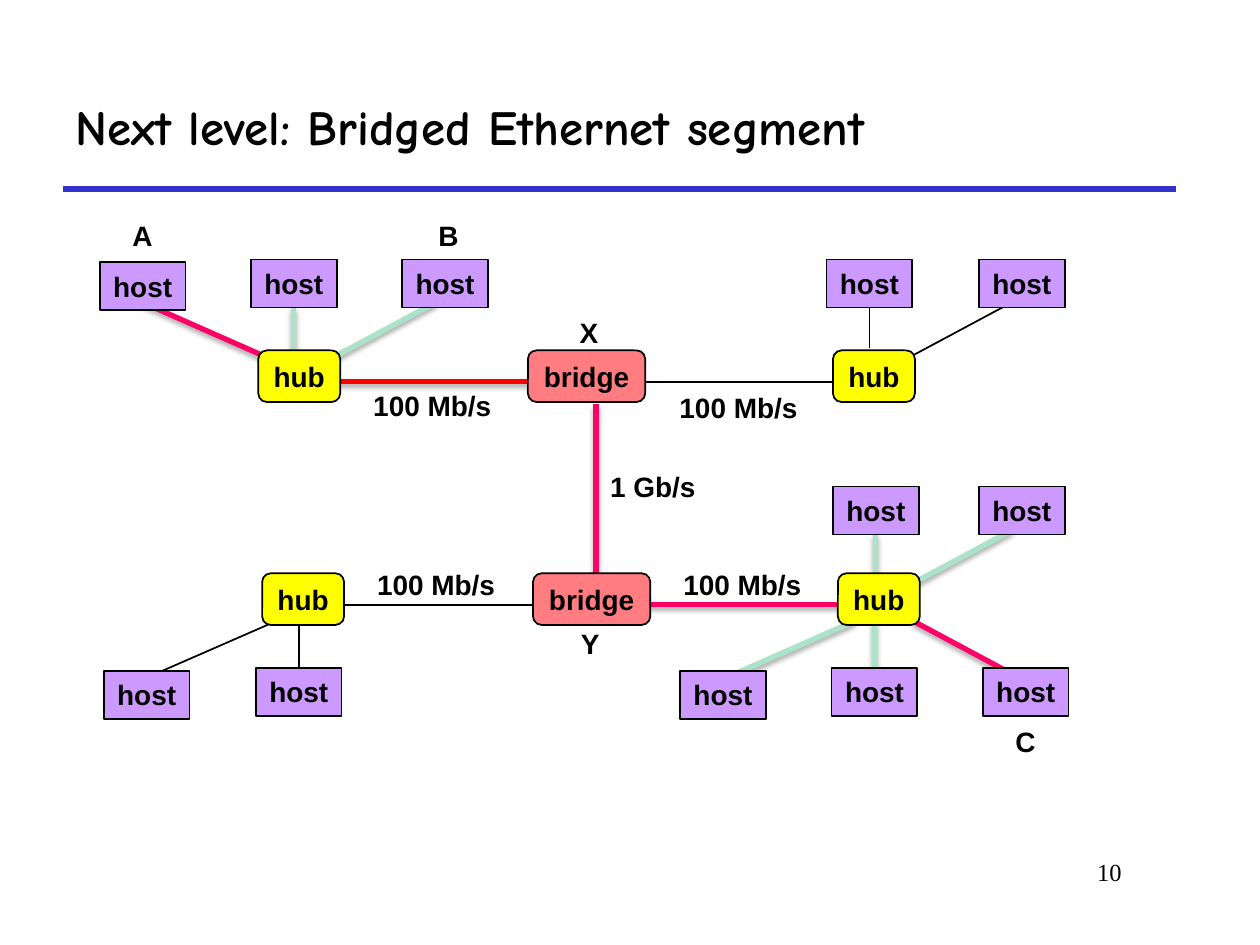
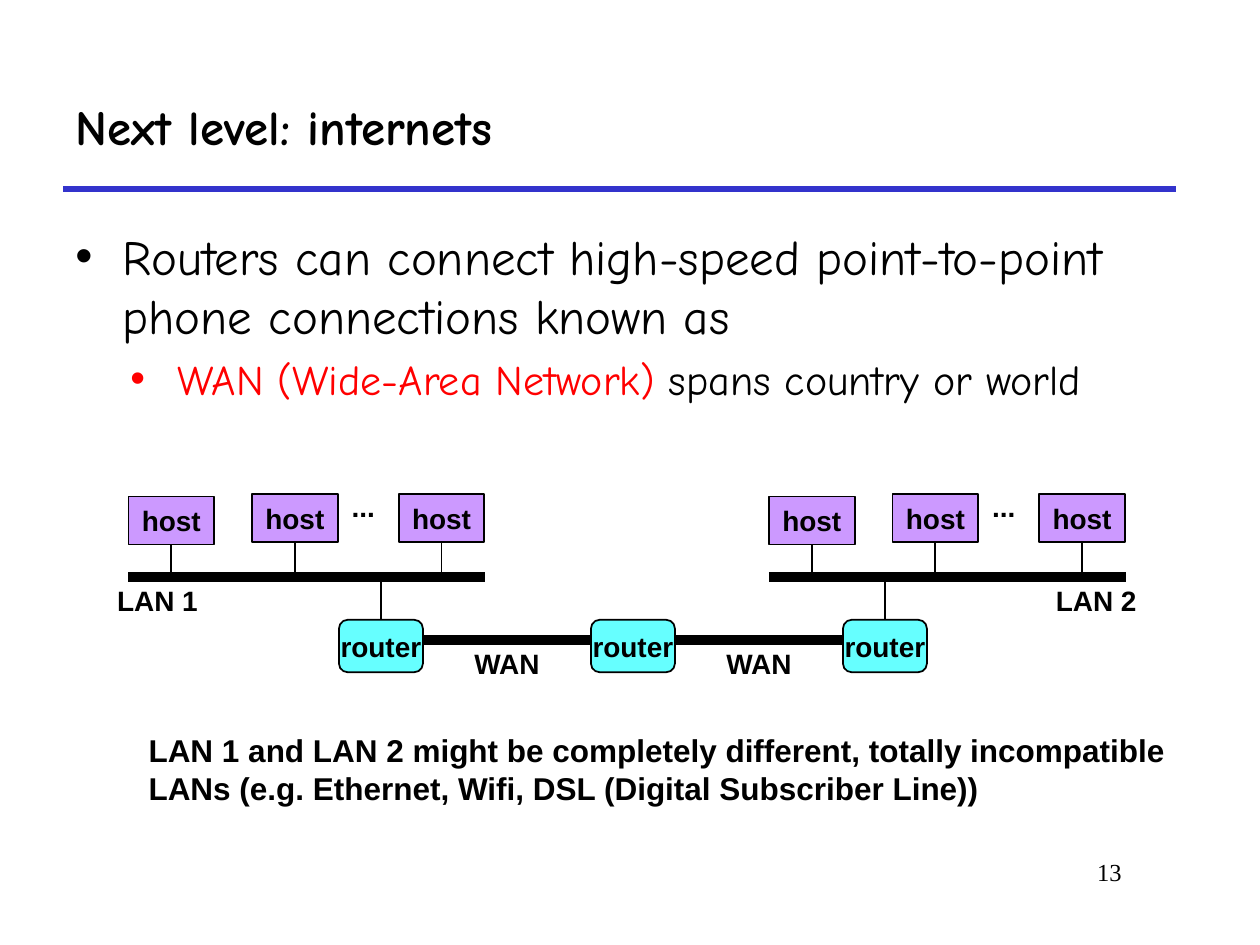
"""Build two slides on bridged Ethernet segments and internets."""

from dataclasses import dataclass
from typing import Union

import lxml.etree
import pptx
import pptx.dml.color
import pptx.enum.shapes
import pptx.enum.text
import pptx.oxml.ns
import pptx.presentation
import pptx.shapes.autoshape
import pptx.shapes.connector
import pptx.slide
import pptx.text.text
import pptx.util

Pt = pptx.util.Pt
RGBColor = pptx.dml.color.RGBColor
SHAPE = pptx.enum.shapes.MSO_SHAPE
ALIGN = pptx.enum.text.PP_ALIGN
MIDDLE = pptx.enum.text.MSO_ANCHOR.MIDDLE
qn = pptx.oxml.ns.qn

BLACK = RGBColor(0x00, 0x00, 0x00)
BLUE = RGBColor(0x33, 0x33, 0xCC)
RED = RGBColor(0xFF, 0x00, 0x00)
PINK = RGBColor(0xFF, 0x00, 0x66)
MINT = RGBColor(0xAA, 0xE2, 0xCA)
PURPLE = RGBColor(0xCC, 0x99, 0xFF)
YELLOW = RGBColor(0xFF, 0xFF, 0x00)
CORAL = RGBColor(0xFF, 0x7C, 0x80)
AQUA = RGBColor(0x66, 0xFF, 0xFF)

SANS, COMIC, SERIF = "Arial", "Comic Neue", "Times New Roman"
TOP, BOTTOM = 0, 2


@dataclass(frozen=True)
class Kind:
    """Look of one sort of network node."""

    text: str
    width: float
    height: float
    fill: RGBColor
    form: int = SHAPE.ROUNDED_RECTANGLE


@dataclass(frozen=True)
class Node:
    """A network node and its place."""

    key: str
    kind: Kind
    left: float
    top: float


@dataclass(frozen=True)
class Join:
    """A side of a node where a link ends."""

    key: str
    side: int


Spot = tuple[float, float]
End = Union[Spot, Join]


@dataclass(frozen=True)
class Link:
    """A line between two ends; a shaded one casts a shadow."""

    start: End
    end: End
    color: RGBColor = BLACK
    width: float = 1
    shade: bool = False


@dataclass(frozen=True)
class Label:
    """A short text centred on a given x."""

    text: str
    center: float
    top: float


HOST = Kind("host", 49, 27.4, PURPLE, SHAPE.RECTANGLE)
HUB = Kind("hub", 46.8, 29.5, YELLOW)
BRIDGE = Kind("bridge", 67, 29.5, CORAL)
ROUTER = Kind("router", 48, 30, AQUA)


def style(para: pptx.text.text._Paragraph, size: float, face: str = SANS,
          bold: bool = True, color: RGBColor = BLACK) -> None:
    """Format every run of a paragraph."""
    for run in para.runs:
        run.font.size, run.font.name, run.font.bold = Pt(size), face, bold
        run.font.color.rgb = color


def add_text(slide: pptx.slide.Slide, text: str, left: float, top: float,
             width: float, height: float, wrap: bool = True) -> pptx.text.text.TextFrame:
    """Add a text box and return its frame."""
    box = slide.shapes.add_textbox(Pt(left), Pt(top), Pt(width), Pt(height))
    box.text_frame.word_wrap = wrap
    box.text_frame.text = text
    return box.text_frame


def add_link(slide: pptx.slide.Slide, link: Link) -> pptx.shapes.connector.Connector:
    """Draw a link; ends that are joins are placed later."""
    spots = [(0, 0) if isinstance(end, Join) else end for end in (link.start, link.end)]
    line = slide.shapes.add_connector(
        pptx.enum.shapes.MSO_CONNECTOR.STRAIGHT,
        *(Pt(value) for spot in spots for value in spot))
    line.line.color.rgb, line.line.width = link.color, Pt(link.width)
    sub = lxml.etree.SubElement
    effect = sub(line._element.spPr, qn("a:effectLst"))
    if link.shade:
        shadow = sub(effect, qn("a:outerShdw"), blurRad=str(Pt(3.1)),
                     dist=str(Pt(1.8)), dir="5400000", rotWithShape="0")
        black = sub(shadow, qn("a:srgbClr"), val="000000")
        sub(black, qn("a:alpha"), val="35000")
    return line


def add_node(slide: pptx.slide.Slide, node: Node) -> pptx.shapes.autoshape.Shape:
    """Draw a node with its name in the middle."""
    kind = node.kind
    shape = slide.shapes.add_shape(kind.form, Pt(node.left), Pt(node.top),
                                   Pt(kind.width), Pt(kind.height))
    shape.shadow.inherit = False
    shape.fill.solid()
    shape.fill.fore_color.rgb = kind.fill
    shape.line.color.rgb, shape.line.width = BLACK, Pt(1)
    frame = shape.text_frame
    frame.word_wrap, frame.vertical_anchor = False, MIDDLE
    frame.text = kind.text
    frame.paragraphs[0].alignment = ALIGN.CENTER
    style(frame.paragraphs[0], 16)
    return shape


def add_label(slide: pptx.slide.Slide, label: Label) -> None:
    """Add a centred label with room for its text."""
    width = 36 + 8 * len(label.text)
    frame = add_text(slide, label.text, label.center - width / 2, label.top,
                     width, 26.6, wrap=False)
    frame.vertical_anchor = MIDDLE
    frame.paragraphs[0].alignment = ALIGN.CENTER
    style(frame.paragraphs[0], 16)


def add_net(slide: pptx.slide.Slide, nodes: list[Node], links: list[Link],
            labels: list[Label]) -> None:
    """Draw a network: links at the back, then nodes and labels."""
    lines = [add_link(slide, link) for link in links]
    shapes = {node.key: add_node(slide, node) for node in nodes}
    for line, link in zip(lines, links):
        if isinstance(link.start, Join):
            line.begin_connect(shapes[link.start.key], link.start.side)
        if isinstance(link.end, Join):
            line.end_connect(shapes[link.end.key], link.end.side)
    for label in labels:
        add_label(slide, label)


def add_slide(deck: pptx.presentation.Presentation, title: str,
              number: str) -> pptx.slide.Slide:
    """Add a slide with title, rule and page number."""
    slide = deck.slides.add_slide(deck.slide_layouts.get_by_name("Title Only"))
    head = slide.shapes.title
    head.left, head.top, head.width, head.height = Pt(36), Pt(36), Pt(636), Pt(72)
    frame = head.text_frame
    frame.text = title
    frame.auto_size = pptx.enum.text.MSO_AUTO_SIZE.NONE
    frame.vertical_anchor = MIDDLE
    frame.paragraphs[0].alignment = ALIGN.LEFT
    style(frame.paragraphs[0], 28, COMIC)
    add_link(slide, Link((36, 108), (672, 108), BLUE, 3))
    para = add_text(slide, number, 546, 486, 102, 36).paragraphs[0]
    para.alignment = ALIGN.RIGHT
    style(para, 14, SERIF, False)
    return slide


def add_bullet(para: pptx.text.text._Paragraph, margin: float, color: RGBColor) -> None:
    """Give a paragraph a hanging round bullet."""
    props = para._p.get_or_add_pPr()
    props.set("marL", str(Pt(margin)))
    props.set("indent", str(Pt(-27)))
    sub = lxml.etree.SubElement
    sub(sub(props, qn("a:buClr")), qn("a:srgbClr"), val=str(color))
    sub(props, qn("a:buFont"), typeface=SANS)
    sub(props, qn("a:buChar"), char="•")


def draw_bridged(deck: pptx.presentation.Presentation) -> None:
    """Draw the bridged Ethernet slide."""
    slide = add_slide(deck, "Next level: Bridged Ethernet segment", "10")
    high, low = 200.2, 327.6
    upper, lower = high + 18, low + 18
    nodes = [
        Node("A", HOST, 57, 149.8), Node("mid", HOST, 143.4, 148.3),
        Node("B", HOST, 229.8, 148.3),
        Node("east", HOST, 472.3, 148.3), Node("far east", HOST, 559.4, 148.3),
        Node("hub 1", HUB, 147.6, high), Node("X", BRIDGE, 301.7, high),
        Node("hub 2", HUB, 476, high),
        Node("west", HOST, 59.3, 383.3), Node("south", HOST, 146.2, 381.6),
        Node("hub 3", HUB, 149.8, low), Node("Y", BRIDGE, 304.6, low),
        Node("hub 4", HUB, 478.8, low),
        Node("top", HOST, 476, 278), Node("top far", HOST, 559.4, 278),
        Node("low", HOST, 388.6, 383.3), Node("low mid", HOST, 475.2, 381.6),
        Node("C", HOST, 561.6, 381.6),
    ]
    pink, mint = (PINK, 3, True), (MINT, 3, True)
    links = [
        Link((81.4, 172.8), (154.8, 205.2), *pink),
        Link(Join("mid", BOTTOM), (167.9, high), *mint),
        Link((249.1, 172.8), (188.6, 205.2), *mint),
        Link(Join("east", BOTTOM), (496.8, 198.7)),
        Link((578.2, 172.8), (517.7, 205.2)),
        Link((193, upper), (306.7, upper), RED, 3, True),
        Link((367.2, upper), (481.7, upper)),
        Link((340.6, 231.1), (340.6, 329), *pink),
        Link((157.7, 355), (83.5, 387.4)),
        Link((170.7, 355), Join("south", TOP)),
        Link((195.1, lower), (309.6, lower)),
        Link((370.1, lower), (484.6, lower), *pink),
        Link((488.2, 355), (414.7, 387.4), *mint),
        Link((499.7, 355), Join("low mid", TOP), *mint),
        Link((522, 355), (582.5, 387.4), *pink),
        Link((578.2, 303.1), (517.7, 335.5), *mint),
        Link(Join("top", BOTTOM), (500.5, 329), *mint),
    ]
    labels = [
        Label("A", 81.4, 121), Label("B", 256.3, 121), Label("C", 586, 410.4),
        Label("X", 336.6, 176.6), Label("Y", 337.3, 354.2),
        Label("100 Mb/s", 247, 218.2), Label("100 Mb/s", 422, 219.6),
        Label("100 Mb/s", 249.2, 320.4), Label("100 Mb/s", 424.2, 320.4),
        Label("1 Gb/s", 373, 264.7),
    ]
    add_net(slide, nodes, links, labels)


def add_points(slide: pptx.slide.Slide) -> None:
    """Add the two bullet points on routers."""
    frame = add_text(slide, "Routers can connect high-speed point-to-point "
                     "phone connections known as", 36, 126, 654, 129.6)
    first, second = frame.paragraphs[0], frame.add_paragraph()
    second.text = "WAN (Wide-Area Network)"
    second.add_run().text = " spans country or world"
    second.level, second.space_before = 1, Pt(5)
    add_bullet(first, 27, BLACK)
    add_bullet(second, 58.5, RED)
    style(first, 28, COMIC, False)
    style(second, 24, COMIC, False)
    second.runs[0].font.color.rgb = RED


def draw_routed(deck: pptx.presentation.Presentation) -> None:
    """Draw the slide of two LANs joined by routers."""
    slide = add_slide(deck, "Next level: internets", "13")
    add_points(slide)
    bus, wan = 329.8, 365.8
    nodes: list[Node] = []
    links: list[Link] = []
    labels = [Label("LAN 1", 90, bus), Label("LAN 2", 626.4, bus)]
    for start in (73.4, 439.4):
        links.append(Link((start, bus), (start + 204, bus), BLACK, 6))
        labels.append(Label("...", start + 134.2, 275.8))
        for shift, top in ((0, 283.7), (70.6, 282.2), (154.4, 282.2)):
            key = f"host {start + shift}"
            nodes.append(Node(key, HOST, start + shift, top))
            links.append(Link(Join(key, BOTTOM), (start + shift + HOST.width / 2, bus)))
    for index in range(3):
        key, left = f"router {index}", 193.7 + 144 * index
        nodes.append(Node(key, ROUTER, left, 354.2))
        if index != 1:
            links.append(Link((left + ROUTER.width / 2, bus), Join(key, TOP)))
        if index > 0:
            links.append(Link((left - 96, wan), (left, wan), BLACK, 6))
            labels.append(Label("WAN", left - 48, wan))
    add_net(slide, nodes, links, labels)
    note = add_text(slide, "LAN 1 and LAN 2 might be completely different, totally "
                    "incompatible LANs (e.g. Ethernet, Wifi, DSL (Digital "
                    "Subscriber Line))", 77.8, 414, 600, 51)
    style(note.paragraphs[0], 18)


def main() -> None:
    """Build and save the deck."""
    deck = pptx.Presentation()
    deck.slide_width, deck.slide_height = Pt(720), Pt(540)
    draw_bridged(deck)
    draw_routed(deck)
    deck.save("out.pptx")


if __name__ == "__main__":
    main()
